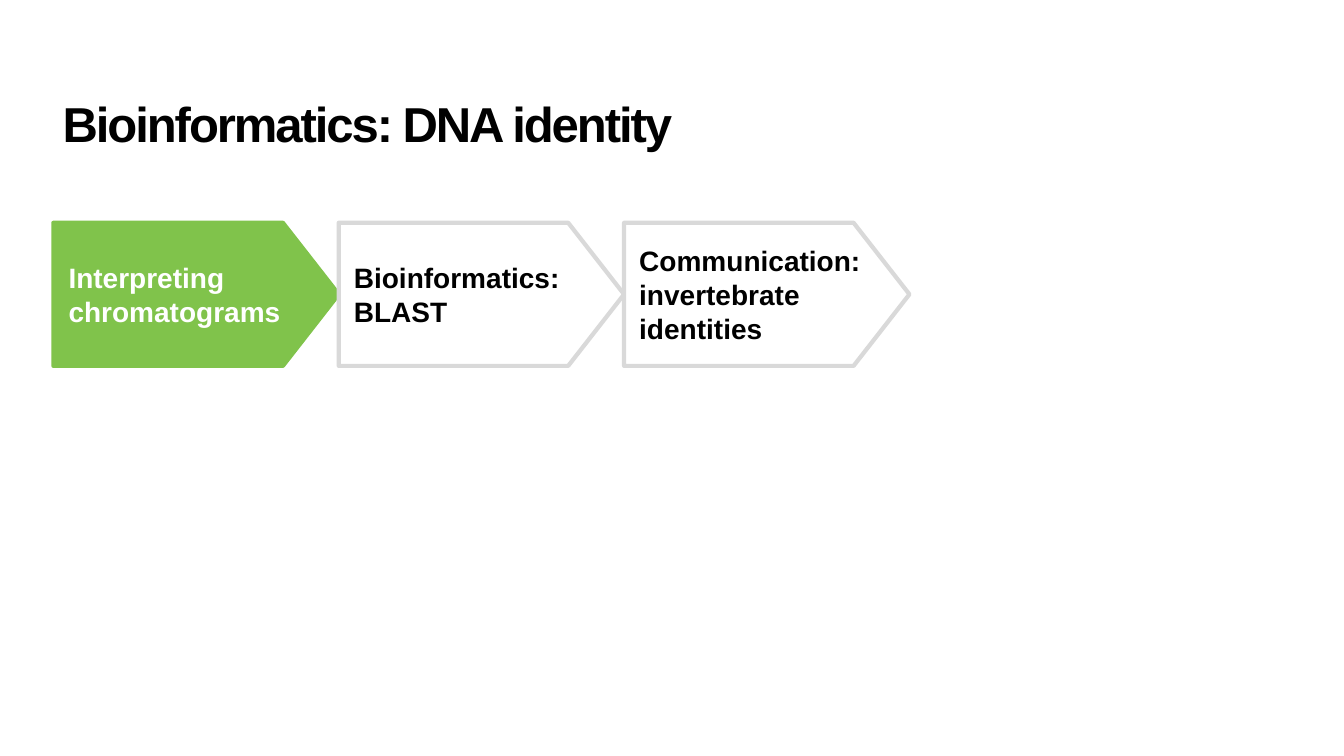
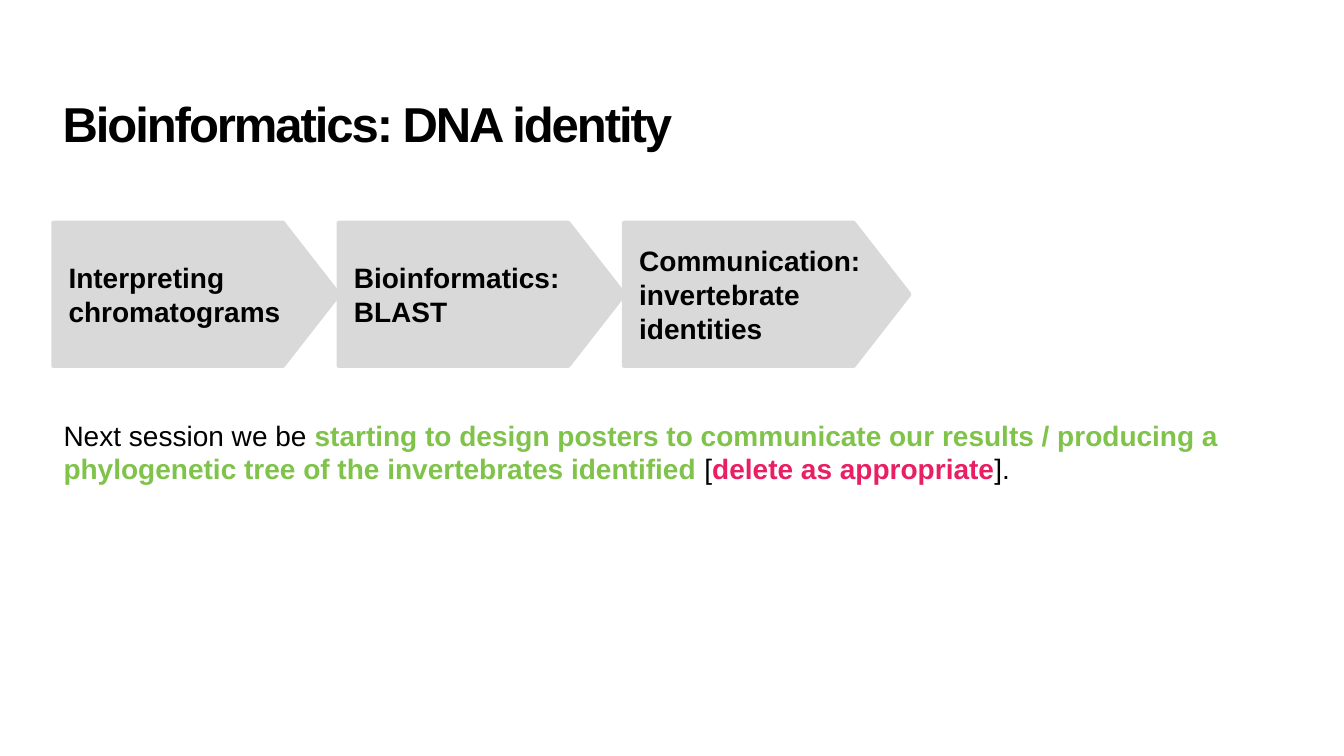
from pptx import Presentation
from pptx.dml.color import RGBColor
from pptx.enum.shapes import MSO_SHAPE
from pptx.enum.text import MSO_ANCHOR, MSO_AUTO_SIZE, PP_ALIGN
from pptx.oxml.ns import qn
from pptx.util import Pt
from lxml.etree import SubElement

PX = 9144
BLACK = RGBColor(0x00, 0x00, 0x00)
WHITE = RGBColor(0xFF, 0xFF, 0xFF)
GREEN = RGBColor(0x80, 0xC3, 0x4B)
GREY = RGBColor(0xD9, 0xD9, 0xD9)
PINK = RGBColor(0xE9, 0x1E, 0x63)

TITLE = "Bioinformatics: DNA identity"
STEPS = ["Interpreting chromatograms", "Bioinformatics: BLAST", "Communication: invertebrate identities"]
STEP_LEFT, STEP_TOP, STEP_WIDTH, STEP_HEIGHT = 53, 221, 283, 142
TITLE_ONLY, TITLE_AND_BODY = 5, 1

ACTIVE = {"fill": GREEN, "line": GREEN, "text": WHITE}
UPCOMING = {"fill": None, "line": GREY, "text": BLACK}
DONE = {"fill": GREY, "line": GREY, "text": BLACK}

NEXT_SESSION = [
    ("Next session we be ", BLACK, False),
    ("starting to design posters to communicate our results / producing a "
     "phylogenetic tree of the invertebrates identified ", GREEN, True),
    ("[", BLACK, False),
    ("delete as appropriate", PINK, True),
    ("].", BLACK, False),
]

PAGES = [
    (TITLE_ONLY, [ACTIVE, UPCOMING, UPCOMING], []),
    (TITLE_AND_BODY, [DONE, DONE, DONE], NEXT_SESSION),
]


def set_frame(box, margins, anchor):
    frame = box.text_frame
    left, top, right, bottom = (margin * PX for margin in margins)
    values = {"margin_left": left, "margin_top": top, "margin_right": right, "margin_bottom": bottom,
              "vertical_anchor": anchor, "word_wrap": True, "auto_size": MSO_AUTO_SIZE.NONE}
    for name, value in values.items():
        setattr(frame, name, value)
    para = frame.paragraphs[0]
    para.alignment = PP_ALIGN.LEFT
    para.space_before = Pt(0)
    return para


def add_span(para, text, size, color, bold):
    span = para.add_run()
    span.text = text
    for name, value in {"name": "Arial", "size": Pt(size), "bold": bold}.items():
        setattr(span.font, name, value)
    span.font.color.rgb = color
    return span


deck = Presentation()
deck.slide_width, deck.slide_height = 1333 * PX, 750 * PX

for layout, looks, body_spans in PAGES:
    page = deck.slides.add_slide(deck.slide_layouts[layout])

    title = page.shapes.title
    title.left, title.top, title.width, title.height = 52 * PX, 104 * PX, 1229 * PX, 104 * PX
    para = set_frame(title, (10, 0, 10, 5), MSO_ANCHOR.TOP)
    para.line_spacing = 0.8
    span = add_span(para, TITLE, 35, BLACK, True)
    span.font._element.set("spc", "-150")

    for index, (text, look) in enumerate(zip(STEPS, looks)):
        step = page.shapes.add_shape(
            MSO_SHAPE.PENTAGON, (STEP_LEFT + index * STEP_WIDTH) * PX, STEP_TOP * PX,
            STEP_WIDTH * PX, STEP_HEIGHT * PX)
        step.adjustments[0] = 0.39
        step.shadow.inherit = False
        if look["fill"] is None:
            step.fill.background()
        else:
            step.fill.solid()
            step.fill.fore_color.rgb = look["fill"]
        step.line.color.rgb = look["line"]
        step.line.width = Pt(3)
        para = set_frame(step, (15, 5, 0, 5), MSO_ANCHOR.MIDDLE)
        add_span(para, text, 20, look["text"], True)

    if body_spans:
        body = page.placeholders[1]
        body.left, body.top, body.width, body.height = 53 * PX, 405 * PX, 1251 * PX, 281 * PX
        para = set_frame(body, (10, 10, 10, 10), MSO_ANCHOR.TOP)
        properties = para._p.get_or_add_pPr()
        properties.set("marL", "0")
        properties.set("indent", "0")
        SubElement(properties, qn("a:buNone"))
        for text, color, bold in body_spans:
            add_span(para, text, 20, color, bold)

deck.save("out.pptx")
